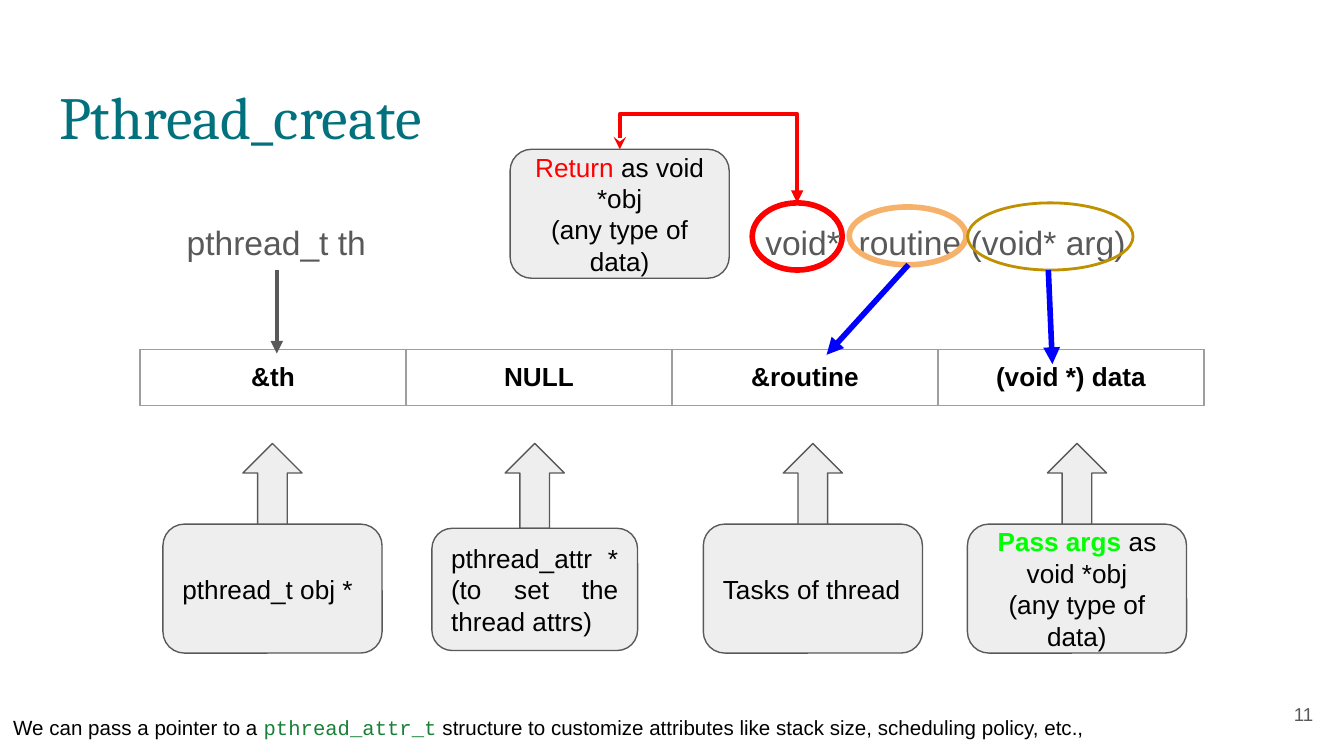
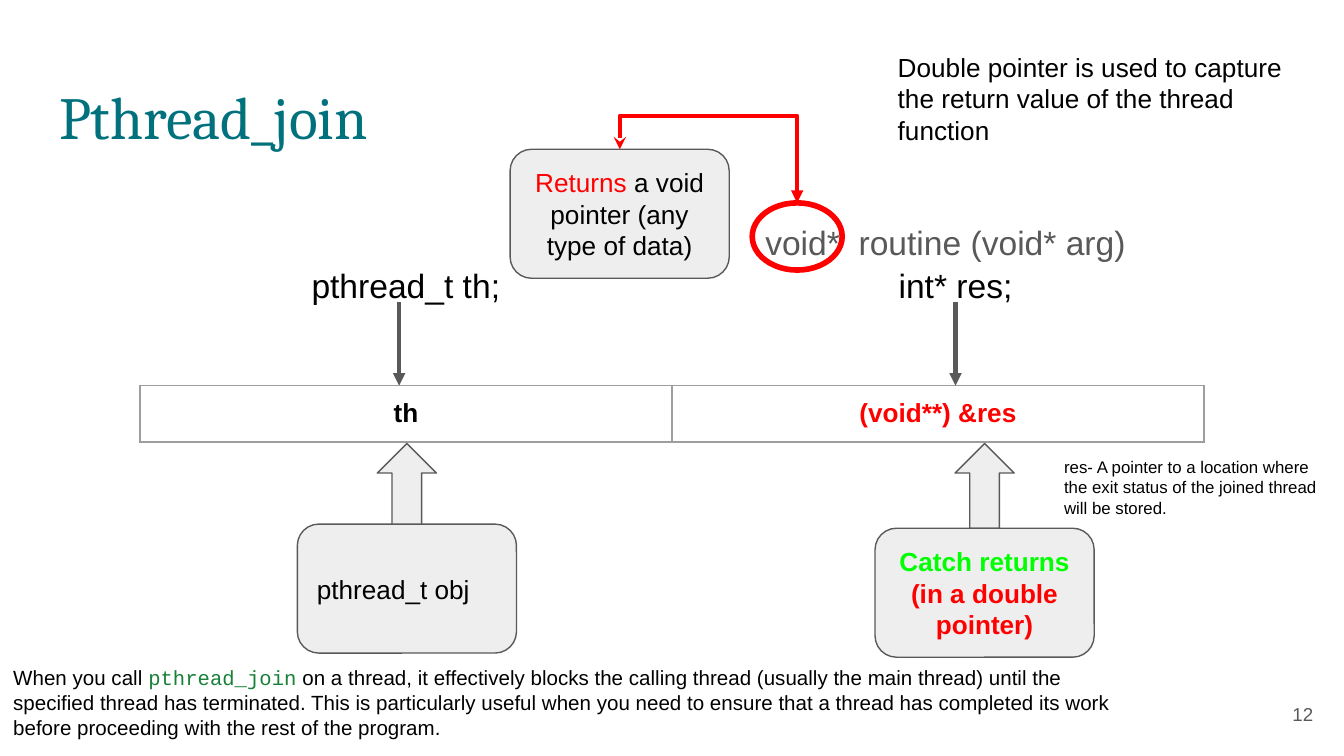
from lxml import etree
from pptx import Presentation
from pptx import util as u
from pptx.dml import color as dml
from pptx.enum import shapes, text
from pptx.oxml import ns

Pt = u.Pt
ALIGN = text.PP_ALIGN
KIND = shapes.MSO_SHAPE
LINK = shapes.MSO_CONNECTOR

COLORS = {
    "title": "00717D", "black": "000000", "grey": "595959", "panel": "EEEEEE",
    "border": "9E9E9E", "red": "FF0000", "green": "00FF00", "blue": "0000FF",
    "orange": "F6B26B", "gold": "BF9000", "code": "188038",
}
BASE = {"name": "Arial", "size": Pt(14), "bold": False, "color": "black"}
TITLE = {"name": "Cambria", "size": Pt(32), "color": "title"}
HEADING = {"size": Pt(18)}
LABEL = {"size": Pt(18), "color": "grey"}
FOOTER = {"size": Pt(11)}
CODE = {"size": Pt(11), "name": "Courier New", "color": "code"}
NUMBER = {"size": Pt(10), "color": "grey"}
SMALL = {"size": Pt(9)}
RED = {"color": "red"}
BOLD = {"bold": True}
BOLD_RED = {"bold": True, "color": "red"}
BOLD_GREEN = {"bold": True, "color": "green"}

INSET = Pt(7.2)
TABLE_LEFT, TABLE_WIDTH, ROW_HEIGHT = 75, 570, 30.2
SIGNATURE_TOP, SIGNATURE_HEIGHT = 108.7, 36
NOTE_SIZE = (117.4, 69.1)
RETURN_X, RETURN_TOP = 332, 80
VOID_X = 427


def rgb(name):
    return dml.RGBColor.from_string(COLORS[name])


def add_xml(parent, tag, **values):
    return etree.SubElement(parent, ns.qn(tag), **values)


def write(frame, spans, align=ALIGN.LEFT, anchor=text.MSO_ANCHOR.TOP, spacing=None):
    settings = {
        "word_wrap": True, "vertical_anchor": anchor,
        "auto_size": text.MSO_AUTO_SIZE.NONE,
        "margin_left": INSET, "margin_right": INSET,
        "margin_top": INSET, "margin_bottom": INSET,
    }
    for key, value in settings.items():
        setattr(frame, key, value)
    fill_paragraph(frame.paragraphs[0], spans, align, spacing or {})


def fill_paragraph(para, spans, align, spacing):
    for key, value in {"alignment": align, **spacing}.items():
        setattr(para, key, value)
    for words, style in spans:
        for index, line in enumerate(words.split("\n")):
            if index:
                para.add_line_break()
            span = para.add_run()
            span.text = line
            for key, value in {**BASE, **style}.items():
                if key == "color":
                    span.font.color.rgb = rgb(value)
                else:
                    setattr(span.font, key, value)


def add_text(page, frame, spans, **layout):
    box = page.shapes.add_textbox(*map(Pt, frame))
    write(box.text_frame, spans, **layout)


def add_label(page, left, width, words):
    add_text(page, (left, SIGNATURE_TOP, width, SIGNATURE_HEIGHT), [(words, LABEL)],
             align=ALIGN.CENTER, spacing={"line_spacing": 1.15, "space_after": Pt(12)})


def add_figure(page, kind, frame, line, weight, fill=None):
    figure = page.shapes.add_shape(kind, *map(Pt, frame))
    figure.shadow.inherit = False
    if fill:
        figure.fill.solid()
        figure.fill.fore_color.rgb = rgb(fill)
    else:
        figure.fill.background()
    figure.line.color.rgb = rgb(line)
    figure.line.width = Pt(weight)
    return figure


def add_ring(page, left, top, width, height, color, weight):
    add_figure(page, KIND.OVAL, (left, top, width, height), color, weight)


def add_note(page, center, top, spans, align=ALIGN.CENTER, size=NOTE_SIZE):
    frame = (center - size[0] / 2, top, *size)
    note = add_figure(page, KIND.ROUNDED_RECTANGLE, frame, "grey", 0.75, "panel")
    write(note.text_frame, spans, align, text.MSO_ANCHOR.MIDDLE)


def add_arrow_note(page, center, top, spans, align=ALIGN.CENTER, size=NOTE_SIZE):
    frame = (center - 15.85, 237.6, 31.7, 45.4)
    add_figure(page, KIND.UP_ARROW, frame, "grey", 0.75, "panel")
    add_note(page, center, top, spans, align, size)


def add_arrow(page, start, end, color, weight, kind=LINK.STRAIGHT, head=None):
    arrow = page.shapes.add_connector(kind, *map(Pt, (*start, *end)))
    arrow.line.color.rgb = rgb(color)
    arrow.line.width = Pt(weight)
    line = arrow.line._get_or_add_ln()
    if head:
        add_xml(line, "a:headEnd", type=head)
    add_xml(line, "a:tailEnd", type="triangle")
    add_xml(arrow._element.spPr, "a:effectLst")
    return arrow


def add_return_link(page, rise):
    middle_x, middle_y = (RETURN_X + VOID_X) / 2, (RETURN_TOP + SIGNATURE_TOP) / 2
    half_x, half_y = (VOID_X - RETURN_X) / 2, (SIGNATURE_TOP - RETURN_TOP) / 2
    link = add_arrow(page, (middle_x + half_y, middle_y - half_x),
                     (middle_x - half_y, middle_y + half_x),
                     "red", 2.25, LINK.ELBOW, "stealth")
    properties = link._element.spPr
    properties.find(ns.qn("a:xfrm")).set("rot", "16200000")
    geometry = properties.find(ns.qn("a:prstGeom"))
    guides = geometry.find(ns.qn("a:avLst"))
    if guides is None:
        guides = add_xml(geometry, "a:avLst")
    share = round(-rise / (2 * half_y) * 100000)
    add_xml(guides, "a:gd", name="adj1", fmla=f"val {share}")


def add_return_note(page, spans, rise):
    add_ring(page, VOID_X - 24, SIGNATURE_TOP, 48.2, SIGNATURE_HEIGHT, "red", 3)
    add_note(page, RETURN_X, RETURN_TOP, spans)
    add_return_link(page, rise)


def add_arguments(page, top, entries):
    frame = (TABLE_LEFT, top, TABLE_WIDTH, ROW_HEIGHT)
    table = page.shapes.add_table(1, len(entries), *map(Pt, frame)).table
    table.first_row = table.horz_banding = False
    for cell, entry in zip(table.rows[0].cells, entries):
        fill_paragraph(cell.text_frame.paragraphs[0], [entry], ALIGN.CENTER, {})
        cell.margin_left = cell.margin_right = INSET
        cell.margin_top = cell.margin_bottom = INSET
        properties = cell._tc.get_or_add_tcPr()
        for side in ("a:lnL", "a:lnR", "a:lnT", "a:lnB"):
            border = add_xml(properties, side, w=str(Pt(0.75)))
            add_xml(add_xml(border, "a:solidFill"), "a:srgbClr", val=COLORS["border"])
        cell.fill.background()


def add_page(deck, title, number):
    page = deck.slides.add_slide(deck.slide_layouts[5])
    heading = page.shapes.title
    frame = {"left": 24.5, "top": 35.3, "width": 671, "height": 45.4}
    for key, value in frame.items():
        setattr(heading, key, Pt(value))
    write(heading.text_frame, [(title, TITLE)])
    add_text(page, (667.4, 367.2, 43.2, 31), [(number, NUMBER)],
             align=ALIGN.RIGHT, anchor=text.MSO_ANCHOR.MIDDLE)
    add_label(page, 382.3, 248.4, "void*  routine (void* arg)")
    return page


def build_create(deck):
    page = add_page(deck, "Pthread_create", "11")
    add_arguments(page, 187.2, [(words, BOLD) for words in
                                ("&th", "NULL", "&routine", "(void *) data")])
    add_arrow_note(page, 146, 280.8, [("pthread_t obj *", {})], ALIGN.LEFT)
    add_arrow_note(page, 286.5, 283, [("pthread_attr *\n(to set the thread attrs)", {})],
                   ALIGN.JUSTIFY, (110.2, 65.5))
    add_arrow_note(page, 435.5, 280.8, [("Tasks of thread", {})], ALIGN.LEFT)
    add_arrow_note(page, 577, 280.8, [("Pass args", BOLD_GREEN),
                                      (" as void *obj\n(any type of data)", {})])
    add_label(page, 75, 146, "pthread_t th")
    add_arrow(page, (148.3, 144.7), (148.3, 189.4), "grey", 2.25)
    add_ring(page, 455, 110.9, 62.6, 31, "orange", 3)
    add_arrow(page, (486.7, 141.8), (442.8, 190.1), "blue", 3)
    add_ring(page, 518.4, SIGNATURE_TOP, 88.6, SIGNATURE_HEIGHT, "gold", 1.5)
    add_arrow(page, (561.6, 144.7), (563.8, 195.1), "blue", 3)
    add_return_note(page, [("Return", RED), (" as void *obj\n(any type of data)", {})], 19)
    add_text(page, (0, 375.8, 592.6, 28), [
        ("We can pass a pointer to a ", FOOTER),
        ("pthread_attr_t", CODE),
        (" structure to customize attributes like stack size, "
         "scheduling policy, etc.,", FOOTER),
    ])


def build_join(deck):
    page = add_page(deck, "Pthread_join", "12")
    add_arguments(page, 206.6, [("th", BOLD), ("(void**) &res", BOLD_RED)])
    for left, width, words, center in ((122.4, 190, "pthread_t th;", 213.8),
                                       (447.8, 128.2, "int* res;", 511.9)):
        add_text(page, (left, 134.6, width, 36), [(words, HEADING)], align=ALIGN.CENTER)
        add_arrow(page, (center, 162), (center, 206.6), "grey", 2.25)
    add_arrow_note(page, 218, 280.8, [("pthread_t obj", {})], ALIGN.LEFT)
    add_arrow_note(page, 527.5, 283, [("Catch returns ", BOLD_GREEN),
                                      ("(in a double pointer)", BOLD_RED)])
    add_return_note(page, [("Returns", RED),
                           (" a void pointer (any type of data)", {})], 18)
    add_text(page, (0, 349.2, 617, 54.7), [
        ("When you call ", FOOTER),
        ("pthread_join", CODE),
        (" on a thread, it effectively blocks the calling thread (usually the main "
         "thread) until the specified thread has terminated. This is particularly "
         "useful when you need to ensure that a thread has completed its work before "
         "proceeding with the rest of the program.", FOOTER),
    ])
    add_text(page, (473.8, 20.2, 236.2, 65.5), [
        ("Double pointer is used to capture the return value of the thread function", {})])
    add_text(page, (563, 237.6, 152, 47.5), [
        ("res- A pointer to a location where the exit status of the joined thread "
         "will be stored.", SMALL)])


def main():
    deck = Presentation()
    deck.slide_width, deck.slide_height = Pt(720), Pt(405)
    build_create(deck)
    build_join(deck)
    deck.save("out.pptx")


if __name__ == "__main__":
    main()
